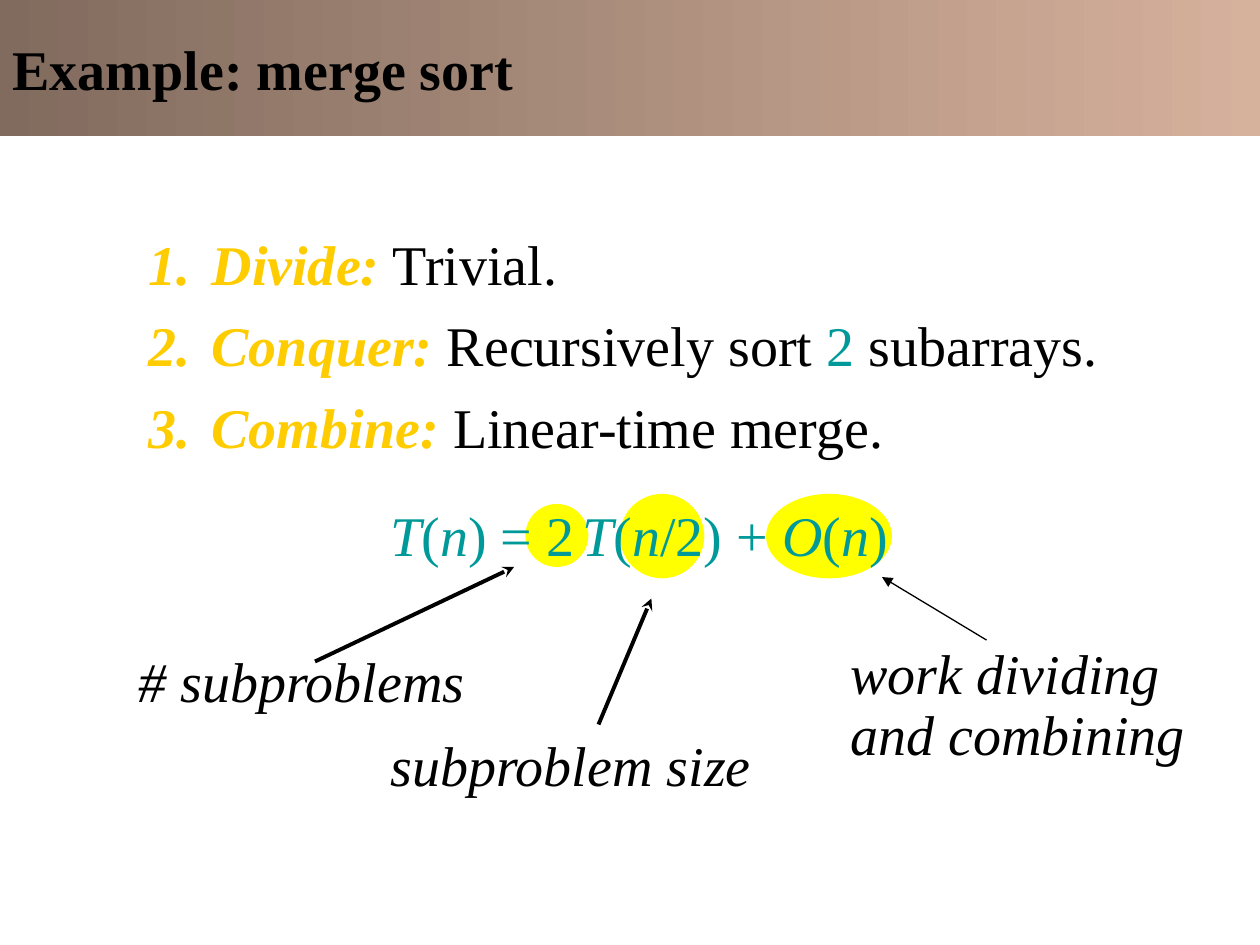
from lxml import etree
from pptx import Presentation
from pptx.dml.color import RGBColor
from pptx.enum.shapes import MSO_CONNECTOR, MSO_SHAPE
from pptx.enum.text import MSO_ANCHOR, MSO_AUTO_SIZE, PP_ALIGN
from pptx.oxml.ns import qn
from pptx.util import Inches, Pt

LINE = MSO_CONNECTOR.STRAIGHT
OVAL = MSO_SHAPE.OVAL
LEFT = PP_ALIGN.LEFT
MIDDLE, TOP = MSO_ANCHOR.MIDDLE, MSO_ANCHOR.TOP
FIXED = MSO_AUTO_SIZE.NONE

FONT = "Times New Roman"
BLACK, GOLD, TEAL, YELLOW = "000000", "FFCC00", "009999", "FFFF00"

KEY = dict(color=GOLD, bold=True, italic=True)
STEPS = [
    [("Divide:", KEY), (" Trivial.", {})],
    [("Conquer:", KEY), (" Recursively sort ", {}),
     ("2", dict(color=TEAL)), (" subarrays.", {})],
    [("Combine:", KEY), (" Linear-time merge.", {})],
]
FORMULA = ["T", "(", "n", ") = 2", " ", "T", "(", "n", "/2) + ",
           "O", "(", "n", ")"]


def rgb(code):
    return RGBColor.from_string(code)


def place(shape, left, top, width, height):
    shape.left, shape.top = Inches(left), Inches(top)
    shape.width, shape.height = Inches(width), Inches(height)


def add_run(para, text, size=32, color=BLACK, bold=False, italic=False):
    run = para.add_run()
    run.text = text
    font = run.font
    font.name, font.size = FONT, Pt(size)
    font.bold, font.italic = bold, italic
    font.color.rgb = rgb(color)


def set_para(para, tight=False):
    """Align left; tight gives the slide's 90 % lines and 12 pt gap."""
    para.alignment = LEFT
    para.line_spacing = 0.9 if tight else 1.0
    para.space_before = Pt(12 if tight else 0)


def number(para):
    """Give the paragraph a gold automatic number on a hanging indent."""
    props = para._p.get_or_add_pPr()
    props.set("marL", str(Inches(0.5)))
    props.set("indent", str(-Inches(0.5)))
    color = etree.SubElement(props, qn("a:buClr"))
    etree.SubElement(color, qn("a:srgbClr"), val=GOLD)
    etree.SubElement(props, qn("a:buFont"), typeface=FONT)
    etree.SubElement(props, qn("a:buAutoNum"), type="arabicPeriod")


def fill_title(title):
    place(title, 0, 0, 10, 1.08)
    title.fill.gradient()
    title.fill.gradient_angle = 0
    for stop, code in zip(title.fill.gradient_stops, ("816B5E", "D6B19C")):
        stop.color.rgb = rgb(code)
    frame = title.text_frame
    frame.auto_size, frame.vertical_anchor = FIXED, MIDDLE
    para = frame.paragraphs[0]
    set_para(para)
    add_run(para, "Example: merge sort", bold=True)


def fill_list(body):
    place(body, 1.08, 1.83, 7.75, 1.88)
    frame = body.text_frame
    frame.auto_size, frame.vertical_anchor = FIXED, TOP
    for i, step in enumerate(STEPS):
        para = frame.add_paragraph() if i else frame.paragraphs[0]
        set_para(para, tight=True)
        number(para)
        for text, style in step:
            add_run(para, text, **style)


def add_oval(slide, left, top, width, height):
    oval = slide.shapes.add_shape(OVAL, 0, 0, 0, 0)
    place(oval, left, top, width, height)
    oval.shadow.inherit = False
    oval.fill.solid()
    oval.fill.fore_color.rgb = rgb(YELLOW)
    oval.line.fill.background()


def add_box(slide, left, top, width, height=0.64, wrap=False):
    """Add a text box and return its first paragraph."""
    box = slide.shapes.add_textbox(0, 0, 0, 0)
    place(box, left, top, width, height)
    box.text_frame.word_wrap = wrap
    para = box.text_frame.paragraphs[0]
    set_para(para, tight=wrap)
    return para


def add_formula(slide):
    para = add_box(slide, 3, 3.92, 4.15)
    for part in FORMULA:
        add_run(para, part, size=18 if part == " " else 32,
                color=TEAL, italic=part.isalpha())


def add_arrow(slide, start, end, width, head):
    ends = [Inches(v) for v in start + end]
    arrow = slide.shapes.add_connector(LINE, *ends)
    arrow.line.color.rgb = rgb(BLACK)
    arrow.line.width = Pt(width)
    etree.SubElement(arrow.line._get_or_add_ln(), qn("a:tailEnd"), type=head)
    etree.SubElement(arrow._element.spPr, qn("a:effectLst"))


def main():
    deck = Presentation()
    deck.slide_width, deck.slide_height = Inches(10), Inches(7.5)
    slide = deck.slides.add_slide(deck.slide_layouts[1])
    fill_title(slide.shapes.title)
    fill_list(slide.placeholders[1])

    add_oval(slide, 4.17, 4, 0.5, 0.5)
    add_oval(slide, 4.92, 3.92, 0.67, 0.67)
    add_oval(slide, 6.08, 3.92, 1, 0.67)
    add_formula(slide)

    add_run(add_box(slide, 1, 5.08, 2.81), "# subproblems", italic=True)
    add_arrow(slide, (2.5, 5.25), (4.08, 4.5), 2.25, "stealth")
    add_run(add_box(slide, 3, 5.75, 3.08), "subproblem size", italic=True)
    add_arrow(slide, (4.75, 5.75), (5.17, 4.75), 2.25, "stealth")
    add_run(add_box(slide, 6.65, 5.08, 3.02, 1.06, wrap=True),
            "work dividing and combining", italic=True)
    add_arrow(slide, (7.83, 5.08), (7, 4.58), 0.75, "triangle")

    deck.save("out.pptx")


if __name__ == "__main__":
    main()
